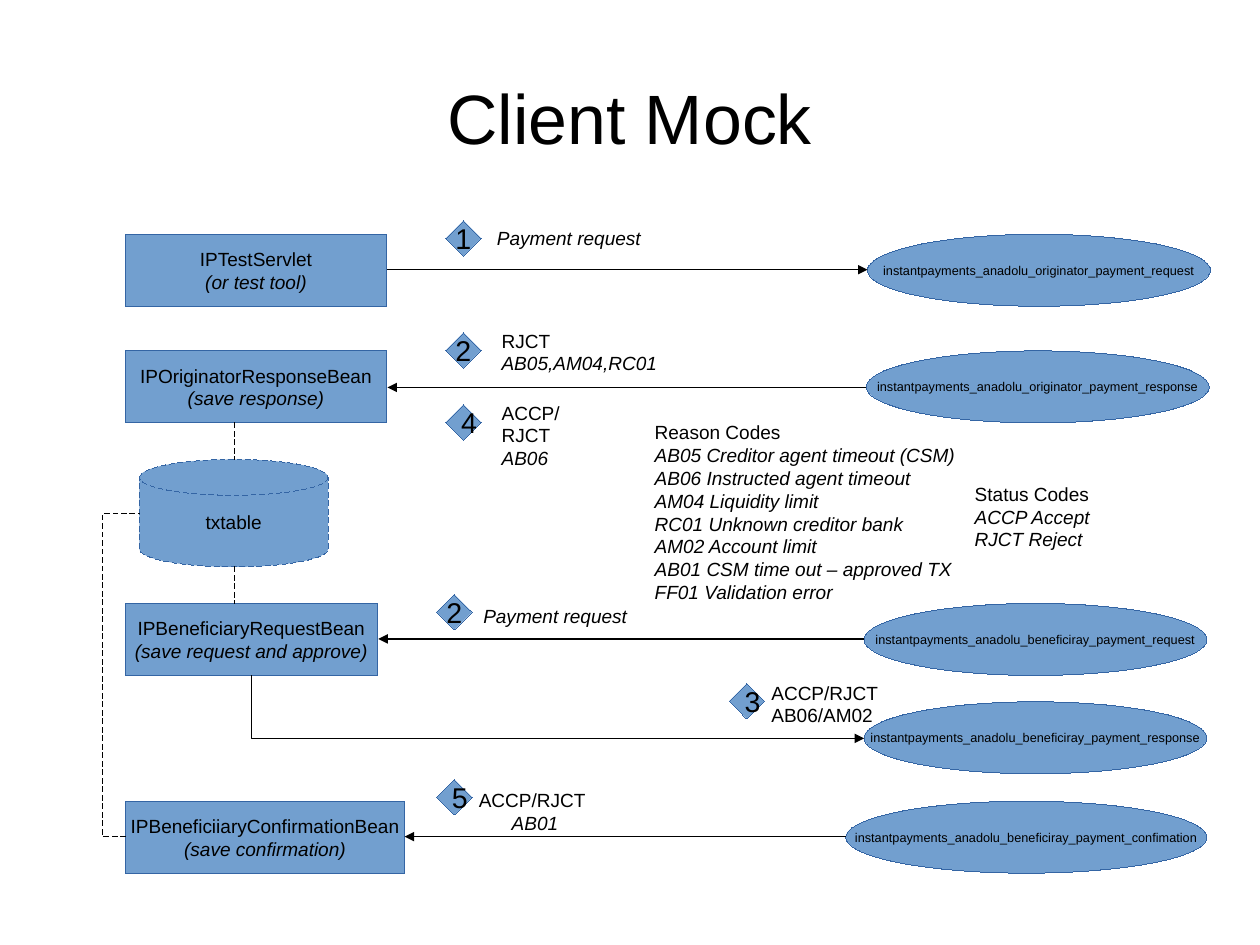
from lxml import etree
from pptx import Presentation
from pptx.dml.color import RGBColor
from pptx.enum import dml, shapes, text
from pptx.oxml import ns
from pptx.util import Inches, Pt

BLUE = RGBColor(0x72, 0x9F, 0xCF)
BORDER = RGBColor(0x34, 0x65, 0xA4)
BLACK = RGBColor(0, 0, 0)
CENTER = text.PP_ALIGN.CENTER
JUSTIFY = text.PP_ALIGN.JUSTIFY
KIND = shapes.MSO_SHAPE
ROW_HEIGHT = 0.63
DIAMOND_SIZE = 0.31


def write_lines(frame, lines, size, alignment, italic_from):
    for index, line in enumerate(lines):
        paragraph = frame.paragraphs[0] if index == 0 else frame.add_paragraph()
        paragraph.alignment = alignment
        run = paragraph.add_run()
        run.text = line
        run.font.name = "Arial"
        run.font.size = Pt(size)
        run.font.color.rgb = BLACK
        run.font.italic = index >= italic_from


def set_outline(shape, color, width):
    shape.line.color.rgb = color
    outline = shape._element.spPr.find(ns.qn("a:ln"))
    outline.set("w", str(Pt(width)))
    return outline


def add_node(slide, kind, left, top, width, height, lines, size=12, alignment=CENTER):
    shape = slide.shapes.add_shape(
        kind, Inches(left), Inches(top), Inches(width), Inches(height))
    shape.shadow.inherit = False
    shape.fill.solid()
    shape.fill.fore_color.rgb = BLUE
    set_outline(shape, BORDER, 0)
    frame = shape.text_frame
    frame.word_wrap = False
    frame.vertical_anchor = text.MSO_ANCHOR.MIDDLE
    write_lines(frame, lines, size, alignment, 1)
    return shape


def add_note(slide, left, top, width, height, lines, italic_from=1):
    box = slide.shapes.add_textbox(
        Inches(left), Inches(top), Inches(width), Inches(height))
    frame = box.text_frame
    frame.word_wrap = True
    frame.auto_size = text.MSO_AUTO_SIZE.SHAPE_TO_FIT_TEXT
    write_lines(frame, lines, 12, JUSTIFY, italic_from)
    return box


def add_title(slide, title):
    box = slide.shapes.add_textbox(
        Inches(0.55), Inches(0.33), Inches(9.92), Inches(1.38))
    frame = box.text_frame
    frame.word_wrap = True
    frame.vertical_anchor = text.MSO_ANCHOR.MIDDLE
    frame.margin_left = frame.margin_right = 0
    frame.margin_top = frame.margin_bottom = 0
    write_lines(frame, [title], 44, CENTER, 1)


def add_line(slide, start, end, bend=None, dashed=False):
    kind = shapes.MSO_CONNECTOR.STRAIGHT if bend is None else shapes.MSO_CONNECTOR.ELBOW
    connector = slide.shapes.add_connector(
        kind, *(Inches(value) for value in start + end))
    outline = set_outline(connector, BLACK, 0 if dashed else 0.79)
    if dashed:
        connector.line.dash_style = dml.MSO_LINE.DASH
    else:
        etree.SubElement(outline, ns.qn("a:tailEnd"), type="triangle")
    properties = connector._element.spPr
    if bend is not None:
        guides = properties.find(ns.qn("a:prstGeom")).find(ns.qn("a:avLst"))
        etree.SubElement(guides, ns.qn("a:gd"), name="adj1",
                         fmla=f"val {round(bend * 100000)}")
    etree.SubElement(properties, ns.qn("a:effectLst"))


def main():
    presentation = Presentation()
    presentation.slide_width = Inches(28 / 2.54)
    presentation.slide_height = Inches(21 / 2.54)
    slide = presentation.slides.add_slide(presentation.slide_layouts[6])
    add_title(slide, "Client Mock")

    queues = [
        (7.59, 2.05, 3, "originator_payment_request"),
        (7.58, 3.07, 3, "originator_payment_response"),
        (7.56, 5.28, 3, "beneficiray_payment_request"),
        (7.56, 6.14, 3, "beneficiray_payment_response"),
        (7.4, 7.01, 3.16, "beneficiray_payment_confimation"),
    ]
    for left, top, width, name in queues:
        add_node(slide, KIND.OVAL, left, top, width, ROW_HEIGHT,
                 ["instantpayments_anadolu_" + name], 8)

    beans = [
        (2.05, 2.28, "IPTestServlet", "(or test tool)"),
        (3.07, 2.28, "IPOriginatorResponseBean", "(save response)"),
        (5.28, 2.2, "IPBeneficiaryRequestBean", "(save request and approve)"),
        (7.01, 2.44, "IPBeneficiiaryConfirmationBean", "(save confirmation)"),
    ]
    for top, width, name, action in beans:
        add_node(slide, KIND.RECTANGLE, 1.1, top, width, ROW_HEIGHT, [name, action])

    table = add_node(slide, KIND.FLOWCHART_MAGNETIC_DISK, 1.22, 4.02, 1.65, 0.94, ["txtable"])
    table.line.dash_style = dml.MSO_LINE.DASH

    add_line(slide, (2.05, 3.7), (2.05, 4.02), dashed=True)
    add_line(slide, (2.05, 4.96), (2.05, 5.28), dashed=True)
    add_line(slide, (1.1, 7.32), (1.22, 4.49), bend=-1.67, dashed=True)
    add_line(slide, (2.2, 5.91), (7.56, 6.46), bend=0)
    for start, end, y in [(3.39, 7.59, 2.36), (7.58, 3.39, 3.39),
                          (7.56, 3.31, 5.59), (7.4, 3.54, 7.32)]:
        add_line(slide, (start, y), (end, y))

    add_note(slide, 4.25, 1.93, 1.57, 0.31, ["Payment request"], 0)
    add_note(slide, 4.29, 2.83, 1.57, 0.47, ["RJCT", "AB05,AM04,RC01"])
    add_note(slide, 4.29, 3.46, 1.18, 0.66, ["ACCP/", "RJCT", "AB06"], 2)
    add_note(slide, 4.13, 5.24, 1.57, 0.31, ["Payment request"], 0)
    add_note(slide, 6.65, 5.91, 1.18, 0.47, ["ACCP/RJCT", "AB06/AM02"], 2)
    confirmation = add_note(slide, 4.09, 6.85, 1.18, 0.47, ["ACCP/RJCT", "AB01"])
    confirmation.text_frame.paragraphs[1].alignment = CENTER
    add_note(slide, 5.63, 3.63, 3.27, 1.59, [
        "Reason Codes",
        "AB05 Creditor agent timeout (CSM)",
        "AB06 Instructed agent timeout",
        "AM04 Liquidity limit",
        "RC01 Unknown creditor bank",
        "AM02 Account limit",
        "AB01 CSM time out – approved TX",
        "FF01 Validation error",
    ])
    add_note(slide, 8.43, 4.17, 1.57, 0.66, ["Status Codes", "ACCP Accept", "RJCT Reject"])

    steps = [
        (3.9, 1.93, "1", CENTER), (3.9, 2.91, "2", CENTER), (3.9, 3.54, "4", JUSTIFY),
        (3.82, 5.2, "2", CENTER), (6.38, 5.98, "3", JUSTIFY), (3.82, 6.82, "5", JUSTIFY),
    ]
    for left, top, number, alignment in steps:
        add_node(slide, KIND.DIAMOND, left, top, DIAMOND_SIZE, DIAMOND_SIZE,
                 [number], 18, alignment)

    presentation.save("out.pptx")


if __name__ == "__main__":
    main()
